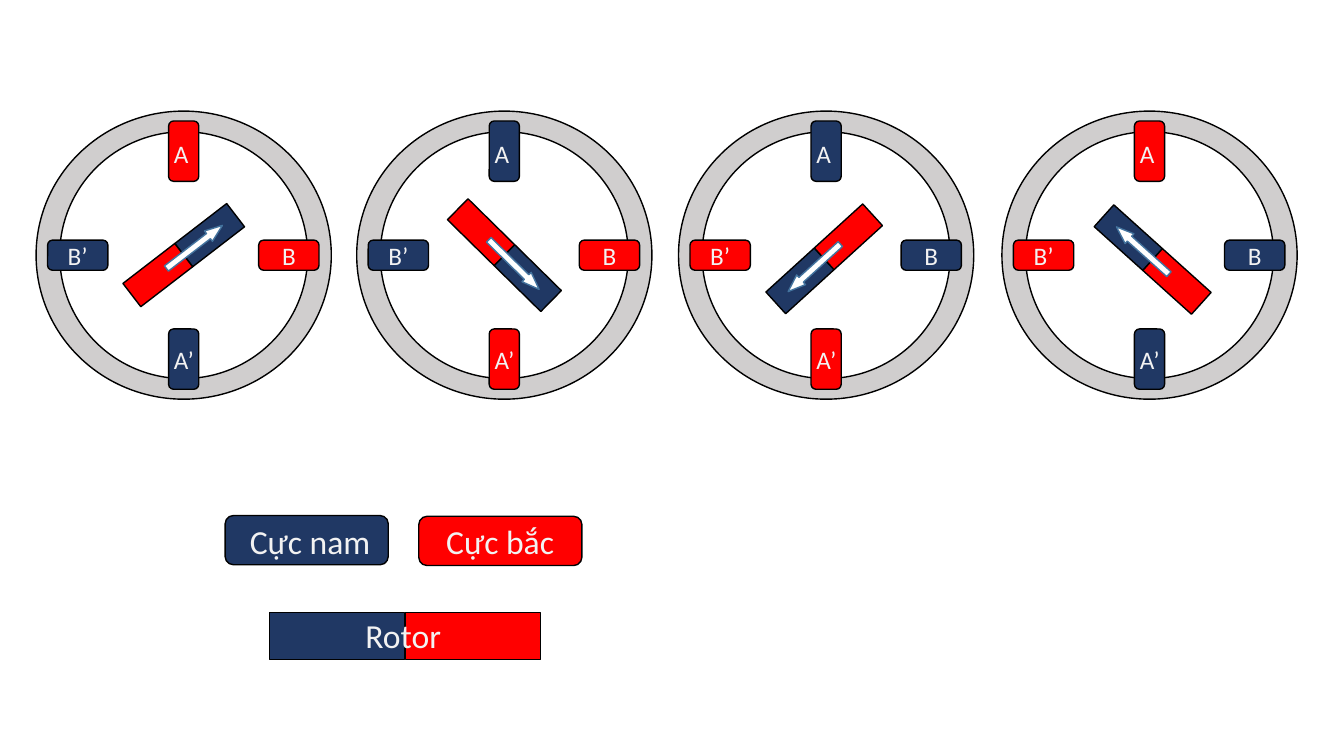
"""Builds a slide of four stepper motor positions with a legend of the poles."""
from math import cos, radians, sin

from pptx import Presentation
from pptx.dml.color import RGBColor
from pptx.enum.shapes import MSO_SHAPE as Shape
from pptx.enum.text import MSO_AUTO_SIZE as AutoSize, PP_ALIGN as Align
from pptx.util import Cm, Pt

NAVY = RGBColor(0x20, 0x38, 0x64)
RED = RGBColor(0xFF, 0x00, 0x00)
GREY = RGBColor(0xD0, 0xCE, 0xCE)
WHITE = RGBColor(0xFF, 0xFF, 0xFF)
BLACK = RGBColor(0x00, 0x00, 0x00)
STEEL = RGBColor(0x43, 0x73, 0x9E)
PALE = RGBColor(0xF2, 0xF2, 0xF2)

MOTORS = [
    {"x": 4.63, "A": RED, "B": RED, "angle": 322.4, "shift": (0, 0)},
    {"x": 12.71, "A": NAVY, "B": RED, "angle": 44.5, "shift": (0, 0)},
    {"x": 20.82, "A": NAVY, "B": NAVY, "angle": 137.7, "shift": (-0.05, 0.09)},
    {"x": 28.97, "A": RED, "B": NAVY, "angle": 222, "shift": (0.08, 0.11)},
]
MOTOR_Y = 6.43
OPPOSITE = {RED: NAVY, NAVY: RED}

POLES = [
    {"name": "A", "at": (0, -2.62), "turn": 0, "label": (0.05, -2.57)},
    {"name": "A’", "at": (0, 2.62), "turn": 0, "label": (0.05, 2.62)},
    {"name": "B", "at": (2.65, 0), "turn": 270, "label": (2.65, 0)},
    {"name": "B’", "at": (-2.67, 0), "turn": 270, "label": (-2.67, 0)},
]

RING, BORE = (7.44, 7.26), (6.25, 6.22)
POLE, HALF, ARROW = (0.76, 1.52), (0.74, 1.65), (1.78, 0.33)
ARROW_LEAD = 0.34

KEYS = [
    {"text": "Cực bắc", "label": (14.41, 13.64), "width": 6.83, "wrap": True,
     "form": Shape.ROUNDED_RECTANGLE, "size": (1.24, 4.11), "parts": [(12.61, 13.63, RED)]},
    {"text": "Cực nam", "label": (8.1, 13.64), "width": 4.11, "wrap": True,
     "form": Shape.ROUNDED_RECTANGLE, "size": (1.24, 4.11), "parts": [(7.73, 13.61, NAVY)]},
    {"text": "Rotor", "label": (10.27, 16), "width": 2.62, "wrap": False,
     "form": Shape.RECTANGLE, "size": (1.19, 3.4),
     "parts": [(8.5, 16.03, NAVY), (11.92, 16.03, RED)]},
]


def frame(center, size):
    (x, y), (width, height) = center, size
    return Cm(x - width / 2), Cm(y - height / 2), Cm(width), Cm(height)


def add_part(group, form, center, size, fill, turn=0, line=BLACK):
    part = group.shapes.add_shape(form, *frame(center, size))
    part.rotation = turn
    part.shadow.inherit = False
    part.fill.solid()
    part.fill.fore_color.rgb = fill
    part.line.color.rgb = line
    part.line.width = Pt(1)
    return part


def add_label(group, text, center, size, points, wrap, align=Align.LEFT):
    box = group.shapes.add_textbox(*frame(center, size))
    for name, value in {"word_wrap": wrap, "auto_size": AutoSize.SHAPE_TO_FIT_TEXT}.items():
        setattr(box.text_frame, name, value)
    para = box.text_frame.paragraphs[0]
    para.alignment = align
    span = para.add_run()
    span.text = text
    for name, value in {"name": "Calibri", "size": Pt(points)}.items():
        setattr(span.font, name, value)
    span.font.color.rgb = PALE


def add_motor(page, motor):
    group = page.shapes.add_group_shape()
    center = motor["x"], MOTOR_Y

    def offset(point, origin=center):
        return origin[0] + point[0], origin[1] + point[1]

    add_part(group, Shape.OVAL, center, RING, GREY)
    add_part(group, Shape.OVAL, center, BORE, WHITE)
    for pole in POLES:
        name = pole["name"]
        fill = motor[name] if name in motor else OPPOSITE[motor[name[0]]]
        add_part(group, Shape.ROUNDED_RECTANGLE, offset(pole["at"]), POLE, fill, pole["turn"])
    for pole in POLES:
        sideways = pole["turn"] != 0
        width = 0.94 if pole["name"] == "B" else 1.09
        add_label(group, pole["name"], offset(pole["label"]), (width, 1.02), 18,
                  not sideways, Align.CENTER if sideways else Align.LEFT)

    angle = motor["angle"]
    hub = offset(motor["shift"])

    def along(distance):
        return offset((distance * cos(radians(angle)), distance * sin(radians(angle))), hub)

    for side, fill in ((1, NAVY), (-1, RED)):
        add_part(group, Shape.RECTANGLE, along(side * HALF[1] / 2), HALF, fill,
                 (angle + 90) % 360)
    arrow = add_part(group, Shape.RIGHT_ARROW, along(ARROW_LEAD), ARROW, WHITE, angle, STEEL)
    arrow.adjustments[1] = 1.34


def add_key(page, key):
    group = page.shapes.add_group_shape()
    for x, y, fill in key["parts"]:
        add_part(group, key["form"], (x, y), key["size"], fill, 270)
    add_label(group, key["text"], key["label"], (key["width"], 1.28), 24, key["wrap"])


def main():
    deck = Presentation()
    deck.slide_width, deck.slide_height = Cm(33.87), Cm(19.05)
    page = deck.slides.add_slide(deck.slide_layouts[6])
    for motor in MOTORS:
        add_motor(page, motor)
    for key in KEYS:
        add_key(page, key)
    deck.save("out.pptx")


if __name__ == "__main__":
    main()
